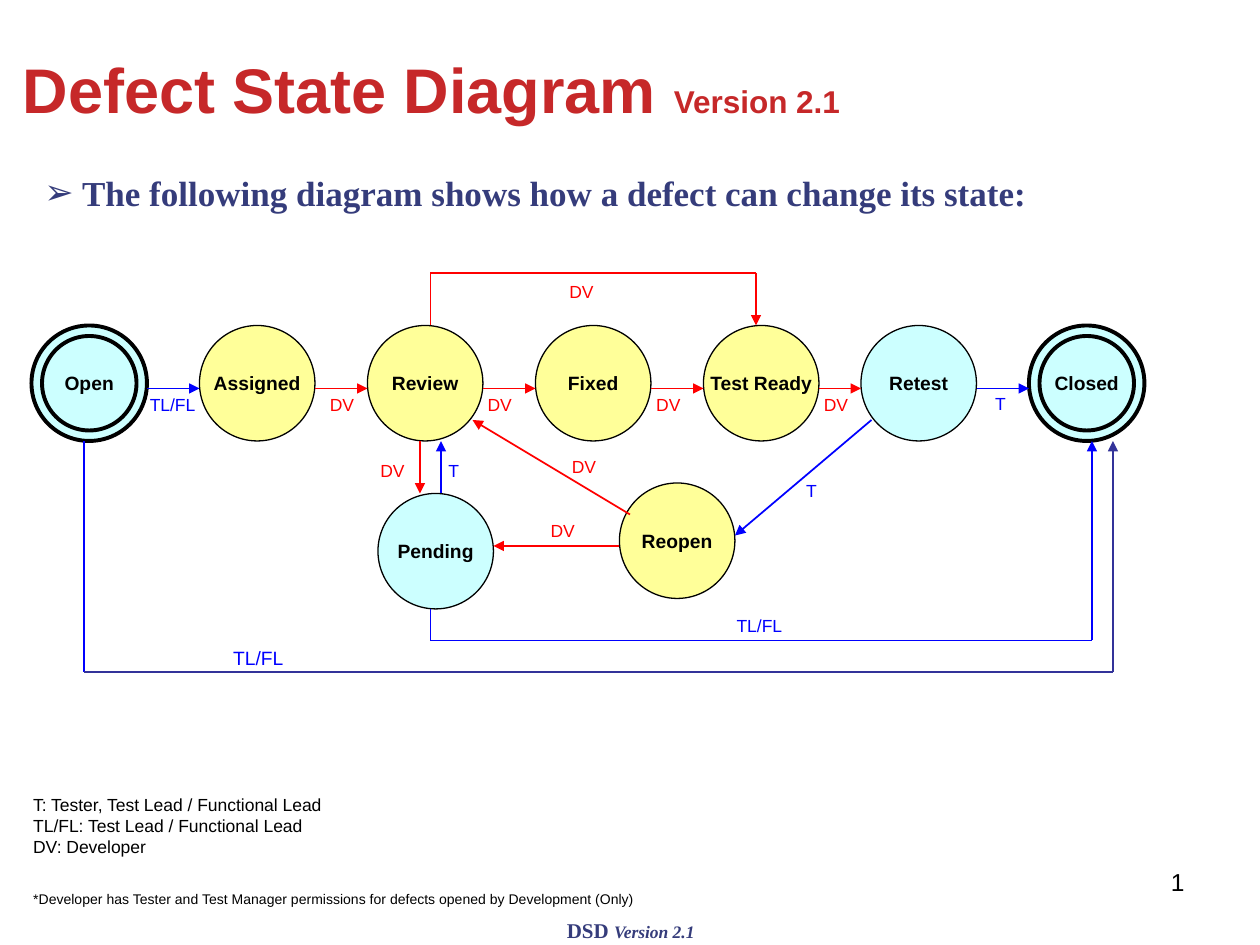
from lxml.etree import SubElement
from pptx import Presentation
from pptx.dml.color import RGBColor
from pptx.enum.shapes import MSO_CONNECTOR as Link, MSO_SHAPE as Preset
from pptx.enum.text import MSO_ANCHOR as Anchor, MSO_AUTO_SIZE as AutoSize, PP_ALIGN as Align
from pptx.oxml.ns import qn
from pptx.util import Cm, Pt


class Theme:
    sans, serif = "Arial", "Times New Roman"
    black, title, navy = "000000", "C62829", "353C7B"
    red, blue, indigo = "FF0000", "0000FF", "333399"
    yellow, cyan = "FFFF99", "CCFFFF"
    title_size, version_size, lead_size = 36, 18, 20
    number_size, footer_size, state_size, label_size, note_size = 14, 12, 11, 10, 8
    thin, medium, thick = 0.75, 1, 2.25


UNIT = 2.54 / 12  # the diagram sits on a grid of twelfths of an inch
ROLE_COLOUR = {"DV": Theme.red, "T": Theme.blue, "TL/FL": Theme.blue}

deck = Presentation()
deck.slide_width, deck.slide_height = Cm(25.4), Cm(19.05)
page = deck.slides.add_slide(deck.slide_layouts[1])


def write(box, lines, align=Align.LEFT, anchor=Anchor.TOP, wrap=True):
    """Fill a box; each line is a list of (text, size, colour, extra font values)."""
    frame = box.text_frame
    settings = {"auto_size": AutoSize.NONE, "word_wrap": wrap, "vertical_anchor": anchor}
    for name, value in settings.items():
        setattr(frame, name, value)
    for index, line in enumerate(lines):
        para = frame.add_paragraph() if index else frame.paragraphs[0]
        para.alignment = align
        para.space_before = Pt(0)
        for text, size, colour, extra in line:
            span = para.add_run()
            span.text = text
            span.font.color.rgb = RGBColor.from_string(colour)
            for name, value in {"name": Theme.sans, "size": Pt(size), **extra}.items():
                setattr(span.font, name, value)


def draw_route(points, colour, width=Theme.medium, arrow=True):
    """Join grid points with straight lines, with an arrowhead on the last one."""
    for start, end in zip(points, points[1:]):
        line = page.shapes.add_connector(
            Link.STRAIGHT, *(Cm(value * UNIT) for value in (*start, *end)))
        line.line.color.rgb = RGBColor.from_string(colour)
        line.line.width = Pt(width)
        properties = line._element.spPr
        SubElement(properties, qn("a:effectLst"))
        if arrow and end == points[-1]:
            SubElement(properties.find(qn("a:ln")), qn("a:tailEnd"), type="triangle")


# Title and lead sentence
title, body = page.shapes.title, page.placeholders[1]
placements = [(title, (0.2, 0.2, 22.86, 3.18)), (body, (0.64, 3.33, 20.75, 1.96))]
for box, place in placements:
    for name, value in zip(("left", "top", "width", "height"), place):
        setattr(box, name, Cm(value))

bold = {"bold": True}
serif_bold = {"name": Theme.serif, "bold": True}
write(title, [[("Defect State Diagram ", Theme.title_size, Theme.title, bold),
               ("Version 2.1", Theme.version_size, Theme.title, bold)]], anchor=Anchor.MIDDLE)
write(body, [[("The following diagram shows how a defect can change its state:",
               Theme.lead_size, Theme.navy, serif_bold)]])
bullet = body.text_frame.paragraphs[0]._p.get_or_add_pPr()
bullet.set("marL", str(int(Cm(0.76))))
bullet.set("indent", str(int(Cm(-0.76))))
SubElement(SubElement(bullet, qn("a:buClr")), qn("a:srgbClr"), val=Theme.navy)
SubElement(bullet, qn("a:buChar"), char="➢")

# States: name, left, top, fill, double ring
states = [
    ("Open", 3, 31, Theme.cyan, True),
    ("Assigned", 19, 31, Theme.yellow, False),
    ("Review", 35, 31, Theme.yellow, False),
    ("Fixed", 51, 31, Theme.yellow, False),
    ("Test Ready", 67, 31, Theme.yellow, False),
    ("Retest", 82, 31, Theme.cyan, False),
    ("Closed", 98, 31, Theme.cyan, True),
    ("Pending", 36, 47, Theme.cyan, False),
    ("Reopen", 59, 46, Theme.yellow, False),
]
DIAMETER = 11
for name, left, top, fill, double in states:
    for inset in ((0, 1) if double else (0,)):
        size = Cm((DIAMETER - 2 * inset) * UNIT)
        circle = page.shapes.add_shape(
            Preset.OVAL, Cm((left + inset) * UNIT), Cm((top + inset) * UNIT), size, size)
        circle.shadow.inherit = False
        circle.fill.solid()
        circle.fill.fore_color.rgb = RGBColor.from_string(fill)
        circle.line.color.rgb = RGBColor.from_string(Theme.black)
        circle.line.width = Pt(Theme.thick if double else Theme.thin)
    write(circle, [[(name, Theme.state_size, Theme.black, bold)]],
          Align.CENTER, Anchor.MIDDLE, wrap=False)

# Transitions along the main row, then the others
main_row = [left for _, left, top, _, _ in states if top == 31]
for role, left, following in zip(("TL/FL", "DV", "DV", "DV", "DV", "T"), main_row, main_row[1:]):
    draw_route([(left + DIAMETER, 37), (following, 37)], ROLE_COLOUR[role])

routes = [
    ("DV", [(41, 31), (41, 26), (72, 26), (72, 31)]),
    ("DV", [(40, 42), (40, 47)]),
    ("T", [(42, 47), (42, 42)]),
    ("T", [(83, 40), (70, 51)]),
    ("DV", [(60, 49), (45, 40)]),
    ("DV", [(59, 52), (47, 52)]),
    ("TL/FL", [(41, 58), (41, 61), (104, 61), (104, 42)]),
]
for role, points in routes:
    draw_route(points, ROLE_COLOUR[role])
draw_route([(8, 42), (8, 64)], Theme.blue, Theme.thin, arrow=False)
draw_route([(8, 64), (106, 64), (106, 42)], Theme.indigo, Theme.thin)

# Role labels beside the transitions
label_widths = {"T": 0.71, "DV": 0.99, "TL/FL": 1.42}
labels = [
    ("TL/FL", 2.77, 7.82), ("DV", 6.4, 7.82), ("DV", 9.58, 7.82), ("DV", 12.98, 7.82),
    ("DV", 16.36, 7.82), ("T", 19.81, 7.8), ("DV", 11.23, 5.54), ("DV", 7.42, 9.14),
    ("T", 8.79, 9.14), ("DV", 11.28, 9.07), ("T", 16, 9.55), ("DV", 10.85, 10.36),
    ("TL/FL", 14.6, 12.27),
]
for role, left, top in labels:
    box = page.shapes.add_textbox(Cm(left), Cm(top), Cm(label_widths[role]), Cm(0.69))
    write(box, [[(role, Theme.label_size, ROLE_COLOUR[role], {})]], wrap=False)

# Remaining texts: place, lines, alignment, anchor
legend = ["T: Tester, Test Lead / Functional Lead",
          "TL/FL: Test Lead / Functional Lead",
          "DV: Developer"]
footnote = "*Developer has Tester and Test Manager permissions for defects opened by Development (Only)"
texts = [
    ((4.45, 12.9, 1.9, 0.74), [[("TL/FL", Theme.state_size, Theme.blue, {})]],
     Align.LEFT, Anchor.TOP),
    ((0.42, 15.88, 8.89, 1.52), [[(line, Theme.label_size, Theme.black, {})] for line in legend],
     Align.LEFT, Anchor.TOP),
    ((0.42, 17.81, 12.7, 0.61), [[(footnote, Theme.note_size, Theme.black, {})]],
     Align.LEFT, Anchor.MIDDLE),
    ((8.69, 18.38, 8.05, 0.64),
     [[("DSD ", Theme.footer_size, Theme.navy, serif_bold),
       ("Version 2.1", Theme.label_size, Theme.navy, {**serif_bold, "italic": True})]],
     Align.CENTER, Anchor.TOP),
    ((18.21, 17.35, 5.92, 1.32), [[("1", Theme.number_size, Theme.black, {})]],
     Align.RIGHT, Anchor.TOP),
]
for place, lines, align, anchor in texts:
    write(page.shapes.add_textbox(*map(Cm, place)), lines, align, anchor)

deck.save("out.pptx")
